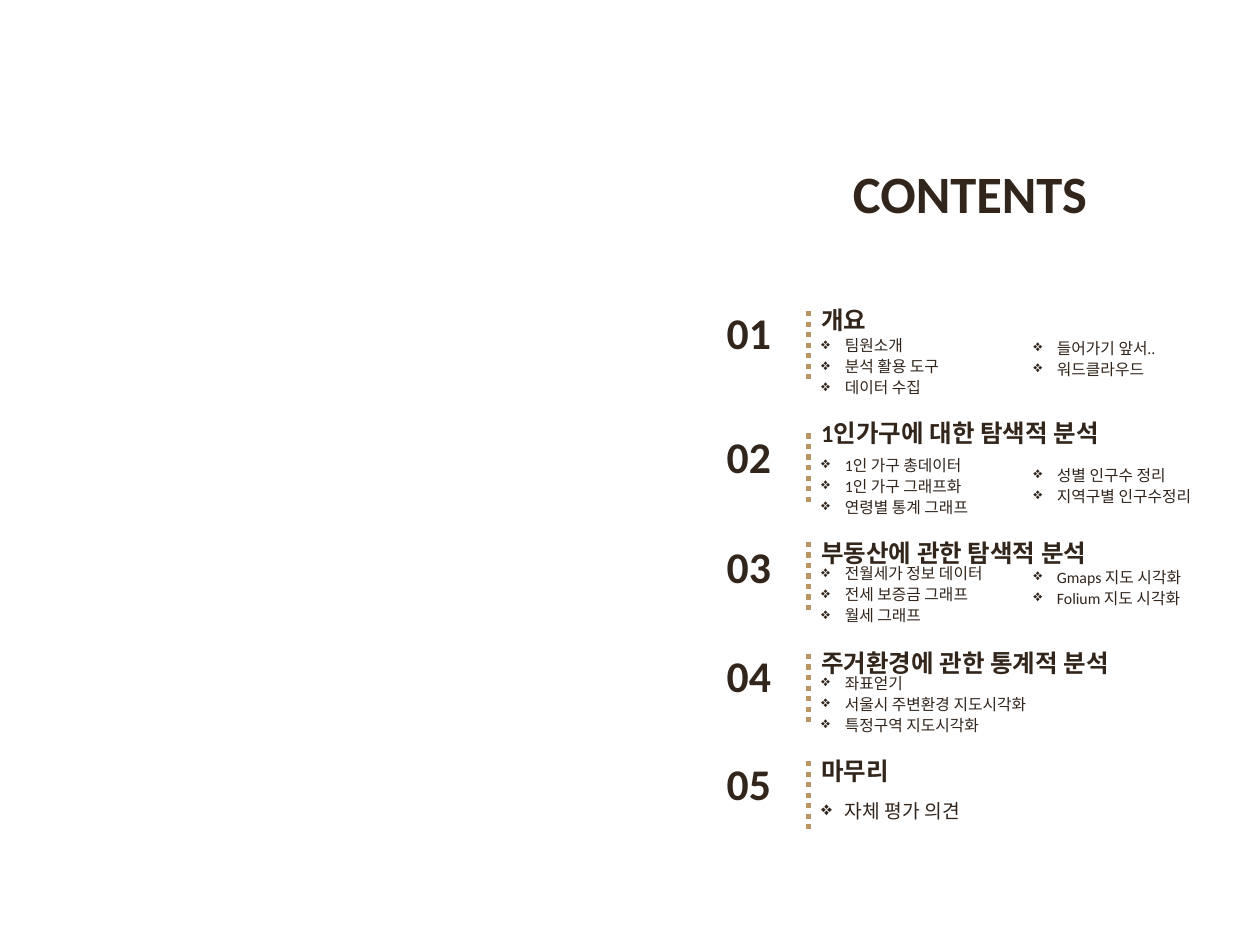
"""Build a contents slide with five numbered sections."""
from lxml import etree
from pptx import Presentation
from pptx.dml.color import RGBColor
from pptx.enum import dml, shapes, text
from pptx.oxml import ns
from pptx.util import Pt

INK = RGBColor(0x31, 0x25, 0x1C)
GOLD = RGBColor(0xBB, 0x94, 0x66)
FONT = "Calibri"
NUMBER_X, TITLE_X, RIGHT_X = 408.2, 462.2, 583.4
LIST_W, RULE_H, LINE_H, PAD = 250, 39.5, 12, 7.2

# title, tops of number, title and rule, bullet size, [(left, top, items)]
SECTIONS = [
    ("개요", 171.4, 170.6, 177.8, 9, [
        (TITLE_X, 187.2, ["팀원소개", "분석 활용 도구", "데이터 수집"]),
        (RIGHT_X, 188.6, ["들어가기 앞서..", "워드클라우드"])]),
    ("1인가구에 대한 탐색적 분석", 241.9, 235.4, 247.7, 9, [
        (TITLE_X, 255.6, ["1인 가구 총데이터", "1인 가구 그래프화", "연령별 통계 그래프"]),
        (RIGHT_X, 261.4, ["성별 인구수 정리", "지역구별 인구수정리"])]),
    ("부동산에 관한 탐색적 분석", 304.6, 303.8, 309.6, 9, [
        (TITLE_X, 317.5, ["전월세가 정보 데이터", "전세 보증금 그래프", "월세 그래프"]),
        (RIGHT_X, 319.7, ["Gmaps 지도 시각화", "Folium 지도 시각화"])]),
    ("주거환경에 관한 통계적 분석", 367.2, 366.5, 373.7, 9, [
        (TITLE_X, 380.2, ["좌표얻기", "서울시 주변환경 지도시각화", "특정구역 지도시각화"])]),
    ("마무리", 429.1, 428.4, 434.9, 11, [
        (TITLE_X, 454.3, ["자체 평가 의견"])]),
]


def add_text(s, lines, x, y, w, h, size, bold=True, wrap=True):
    tf = s.shapes.add_textbox(Pt(x), Pt(y), Pt(w), Pt(h)).text_frame
    tf.text = "\n".join(lines)
    tf.word_wrap = wrap
    tf.auto_size = text.MSO_AUTO_SIZE.SHAPE_TO_FIT_TEXT
    for p in tf.paragraphs:
        for r in p.runs:
            r.font.name, r.font.size, r.font.bold = FONT, Pt(size), bold
            r.font.color.rgb = INK
    return tf


def add_bullets(s, items, x, y, size):
    h = len(items) * LINE_H + PAD
    tf = add_text(s, items, x, y, LIST_W, h, size, bold=False)
    tf.vertical_anchor = text.MSO_ANCHOR.MIDDLE
    for p in tf.paragraphs:
        p.line_spacing = Pt(LINE_H)
        pPr = p._p.get_or_add_pPr()
        pPr.set("marL", str(Pt(13.5)))
        pPr.set("indent", str(Pt(-13.5)))
        etree.SubElement(pPr, ns.qn("a:buChar")).set("char", "❖")


def add_rule(s, x, y):
    rule = s.shapes.add_connector(
        shapes.MSO_CONNECTOR.STRAIGHT, Pt(x), Pt(y), Pt(x), Pt(y + RULE_H))
    rule.line.color.rgb = GOLD
    rule.line.width = Pt(3)
    rule.line.dash_style = dml.MSO_LINE.ROUND_DOT
    etree.SubElement(rule._element.spPr, ns.qn("a:effectLst"))


def main():
    prs = Presentation()
    prs.slide_width, prs.slide_height = Pt(720), Pt(540)
    s = prs.slides.add_slide(prs.slide_layouts[6])
    heading = add_text(s, ["CONTENTS"], NUMBER_X, 88.6, 292.3, 43.9, 30)
    heading.paragraphs[0].alignment = text.PP_ALIGN.CENTER
    for n, (title, number_y, title_y, rule_y, size, lists) in enumerate(SECTIONS, 1):
        add_text(s, [title], TITLE_X, title_y, 232.6, 24.5, 14)
        add_text(s, [f"{n:02}"], NUMBER_X, number_y, 40.3, 37.4, 25, wrap=False)
        add_rule(s, TITLE_X, rule_y)
        for x, y, items in lists:
            add_bullets(s, items, x, y, size)
    prs.save("out.pptx")


if __name__ == "__main__":
    main()
